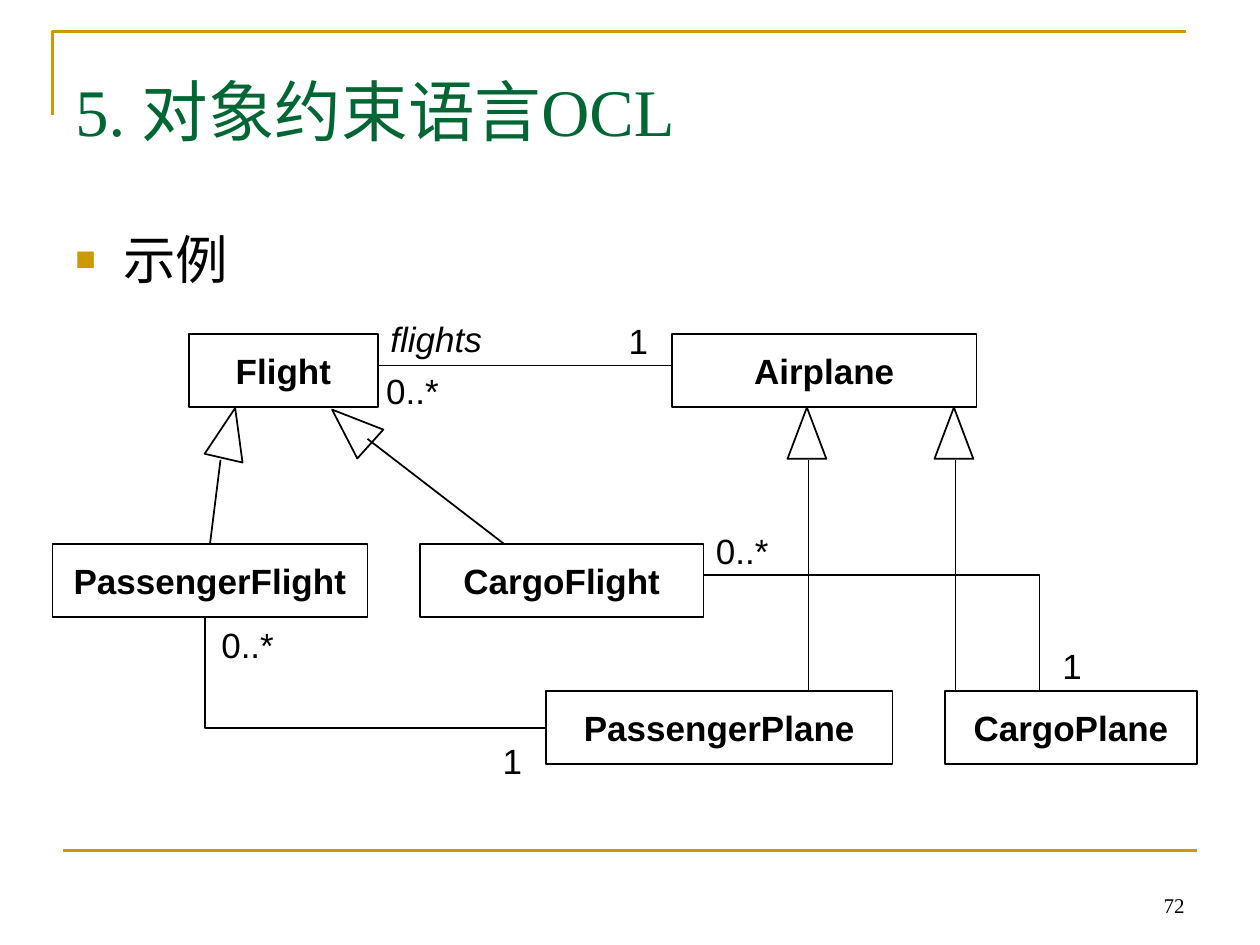
"""Build the OCL example slide: a class diagram of flights and airplanes."""
from lxml.etree import SubElement
from pptx import Presentation
from pptx.dml.color import RGBColor
from pptx.enum.shapes import MSO_CONNECTOR, MSO_SHAPE
from pptx.enum.text import MSO_ANCHOR, PP_ALIGN
from pptx.oxml.ns import qn
from pptx.util import Inches, Pt

presentation = Presentation()
presentation.slide_width = Inches(10)
presentation.slide_height = Inches(7.5)
slide = presentation.slides.add_slide(presentation.slide_layouts[6])
shapes = slide.shapes

COLUMN = presentation.slide_width / 120
ROW = presentation.slide_height / 90
BLACK, GOLD, GREEN = "000000", "CC9900", "006633"
TOP, MIDDLE, BOTTOM, BOX_HEIGHT = 31.8, 51.8, 65.8, 7
ARROW_BASE = TOP + BOX_HEIGHT + 5


def grid(*lengths):
    """Turn alternating columns and rows into slide lengths."""
    return [round(length * (ROW if index % 2 else COLUMN)) for index, length in enumerate(lengths)]


def write(shape, text, size, color=BLACK, font="Arial", align=PP_ALIGN.LEFT, anchor=MSO_ANCHOR.TOP, wrap=False):
    """Put one paragraph into a shape and return it."""
    frame = shape.text_frame
    frame.word_wrap = wrap
    frame.vertical_anchor = anchor
    paragraph = frame.paragraphs[0]
    paragraph.text = text
    paragraph.alignment = align
    paragraph.font.name = font
    paragraph.font.size = Pt(size)
    paragraph.font.color.rgb = RGBColor.from_string(color)
    return paragraph


page_number = shapes.add_textbox(*grid(86, 82, 28, 6))
write(page_number, "72", 12, font="Times New Roman", align=PP_ALIGN.RIGHT, anchor=MSO_ANCHOR.BOTTOM, wrap=True)
title = shapes.add_textbox(*grid(6, 3, 108, 15))
write(title, "5. 对象约束语言OCL", 38, GREEN, "Times New Roman", anchor=MSO_ANCHOR.MIDDLE, wrap=True)

body = shapes.add_textbox(*grid(6, 21, 108, 59.4))
properties = body.text_frame.paragraphs[0]._p.get_or_add_pPr()
properties.set("marL", str(Inches(0.38)))
properties.set("indent", str(-Inches(0.38)))
bullet_color = SubElement(properties, qn("a:buClr"))
SubElement(bullet_color, qn("a:srgbClr"), val=GOLD)
SubElement(properties, qn("a:buSzPct"), val="65000")
SubElement(properties, qn("a:buFont"), typeface="Arial")
SubElement(properties, qn("a:buChar"), char="■")
write(body, "示例", 30, wrap=True)

boxes = {}
for name, left, top, width in [
    ("Flight", 18, TOP, 18),
    ("Airplane", 64, TOP, 29),
    ("CargoFlight", 40, MIDDLE, 27),
    ("PassengerFlight", 5, MIDDLE, 30),
    ("PassengerPlane", 52, BOTTOM, 33),
    ("CargoPlane", 90, BOTTOM, 24),
]:
    box = shapes.add_shape(MSO_SHAPE.RECTANGLE, *grid(left, top, width, BOX_HEIGHT))
    write(box, name, 20, align=PP_ALIGN.CENTER, anchor=MSO_ANCHOR.MIDDLE).font.bold = True
    boxes[name] = box

arrowheads = []
for left, top, rotation in [(31.6, 38.2, 312), (20, 38.8, 13), (75, 38.8, 0), (89, 38.8, 0)]:
    arrowhead = shapes.add_shape(MSO_SHAPE.ISOSCELES_TRIANGLE, *grid(left, top, 3.7, 4.9))
    arrowhead.rotation = rotation
    arrowheads.append(arrowhead)

outlines = []
for color, weight, points in [
    (GOLD, 1.5, [(5, 11), (5, 3), (113, 3)]),
    (BLACK, 1, [(19.5, 58.8), (19.5, 69.3), (52, 69.3)]),
    (BLACK, 1, [(67, 54.8), (99, 54.8), (99, BOTTOM)]),
]:
    corners = [grid(*point) for point in points]
    builder = shapes.build_freeform(*corners[0])
    builder.add_line_segments(corners[1:], close=False)
    outlines.append((builder.convert_to_shape(), color, weight))

outlines += [(shape, BLACK, 1) for shape in [*boxes.values(), *arrowheads]]
for shape, color, weight in outlines:
    shape.shadow.inherit = False
    shape.fill.background()
    shape.line.color.rgb = RGBColor.from_string(color)
    shape.line.width = Pt(weight)

for color, weight, ends, target in [
    (GOLD, 1.5, (6, 81, 114, 81), None),
    (BLACK, 1, (21, ARROW_BASE, 20, MIDDLE), "PassengerFlight"),
    (BLACK, 1, (35, 41.8, 48, MIDDLE), None),
    (BLACK, 1, (77, ARROW_BASE, 77, BOTTOM), None),
    (BLACK, 1, (91, ARROW_BASE, 91, BOTTOM), None),
    (BLACK, 1, (36, 34.8, 64, 34.8), None),
]:
    connector = shapes.add_connector(MSO_CONNECTOR.STRAIGHT, *grid(*ends))
    connector.line.color.rgb = RGBColor.from_string(color)
    connector.line.width = Pt(weight)
    SubElement(connector._element.spPr, qn("a:effectLst"))
    if target:
        connector.end_connect(boxes[target], 0)

for text, left, top, width, height in [
    ("1", 46.7, 69.8, 4.3, 5.2),
    ("0..*", 19.9, 58.8, 7.4, 9.2),
    ("1", 100, 60.8, 4.3, 5.2),
    ("0..*", 67, 49.8, 7.4, 5.2),
    ("0..*", 35.6, 34.6, 7.4, 5.2),
    ("1", 58.7, 29.8, 4.3, 5.2),
    ("flights", 36, 29.6, 11.2, 5.2),
]:
    label = shapes.add_textbox(*grid(left, top, width, height))
    write(label, text, 20).font.italic = text == "flights"

presentation.save("out.pptx")
